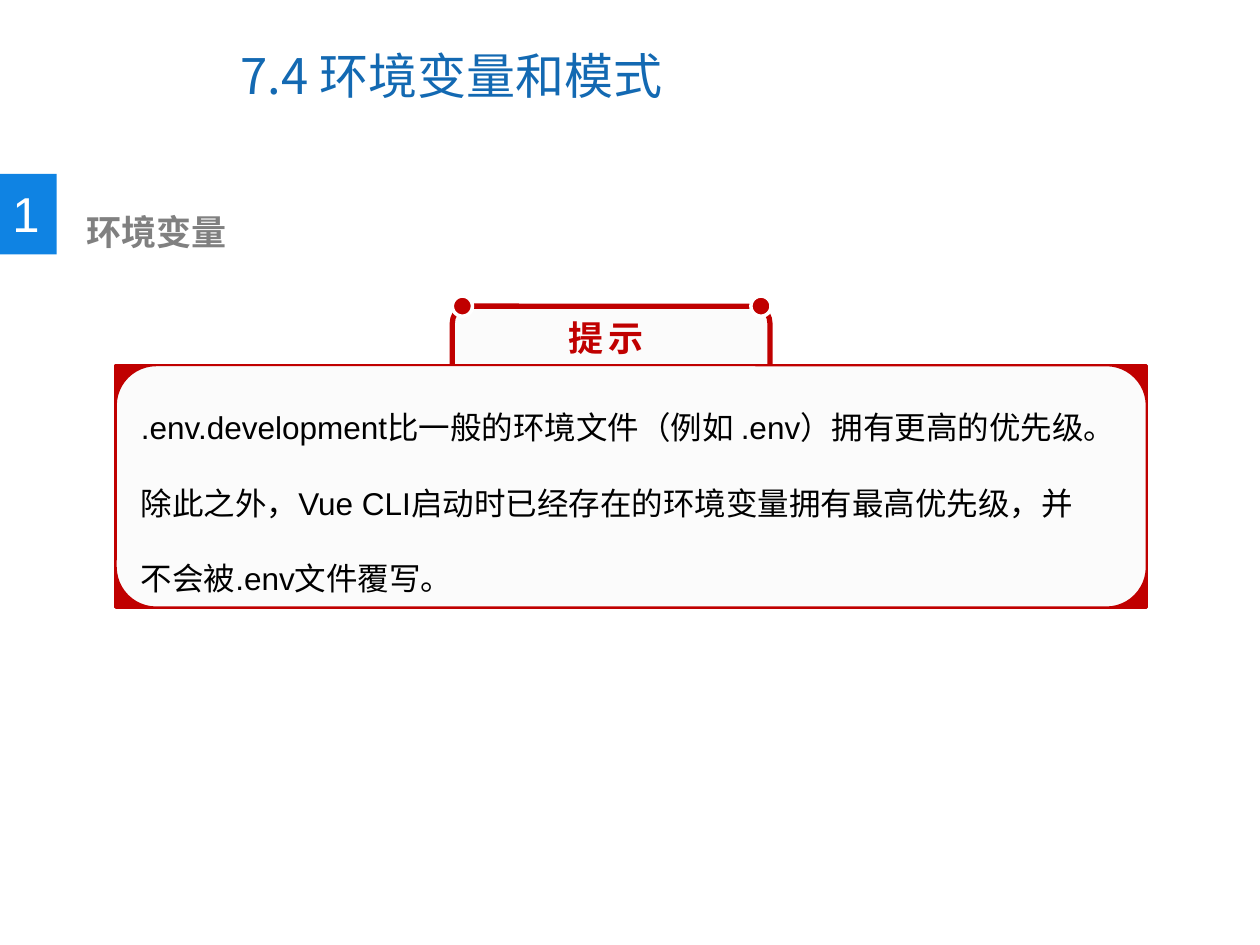
import pptx
import pptx.dml.color
import pptx.enum.shapes
import pptx.enum.text
import pptx.oxml
import pptx.oxml.ns
import pptx.util
from pptx.util import Inches

RGBColor = pptx.dml.color.RGBColor
SHAPE = pptx.enum.shapes.MSO_SHAPE
ANCHOR = pptx.enum.text.MSO_ANCHOR
ALIGN = pptx.enum.text.PP_ALIGN

TITLE_BLUE = RGBColor(0x13, 0x69, 0xB2)
BADGE_BLUE = RGBColor(0x0F, 0x83, 0xE3)
GREY = RGBColor(0x80, 0x80, 0x80)
RED = RGBColor(0xC0, 0x00, 0x00)
PALE = RGBColor(0xFB, 0xFB, 0xFB)
WHITE = RGBColor(0xFF, 0xFF, 0xFF)
BLACK = RGBColor(0x00, 0x00, 0x00)
CJK_FONT = "Noto Sans CJK SC"

deck = pptx.Presentation()
deck.slide_width, deck.slide_height = Inches(10), Inches(7.5)
page = deck.slides.add_slide(deck.slide_layouts[5])


def write(box, text, size, color, font=CJK_FONT, bold=False, anchor=ANCHOR.TOP):
    """Fill a box with one left-aligned run and return that run."""
    frame = box.text_frame
    frame.word_wrap = True
    frame.auto_size = pptx.enum.text.MSO_AUTO_SIZE.NONE
    frame.vertical_anchor = anchor
    para = frame.paragraphs[0]
    para.alignment = ALIGN.LEFT
    span = para.add_run()
    span.text = text
    span.font.name = font
    span.font.size = pptx.util.Pt(size)
    span.font.bold = bold
    span.font.color.rgb = color
    east_asian = pptx.oxml.parse_xml(
        f'<a:ea {pptx.oxml.ns.nsdecls("a")} typeface="{CJK_FONT}"/>')
    span.font._element.find(pptx.oxml.ns.qn("a:latin")).addnext(east_asian)
    return span


def add_panel(kind, left, top, width, height, fill, line=None, weight=0):
    panel = page.shapes.add_shape(
        kind, Inches(left), Inches(top), Inches(width), Inches(height))
    panel.shadow.inherit = False
    panel.fill.solid()
    panel.fill.fore_color.rgb = fill
    if line is None:
        panel.line.fill.background()
    else:
        panel.line.color.rgb = line
        panel.line.width = pptx.util.Pt(weight)


# Title
title = page.shapes.title
title.left, title.top = Inches(1.81), Inches(0.17)
title.width, title.height = Inches(5.16), Inches(0.85)
write(title, "7.4 环境变量和模式", 28, TITLE_BLUE, anchor=ANCHOR.MIDDLE)

# Numbered section heading
add_panel(SHAPE.RECTANGLE, 0, 1.38, 0.45, 0.64, BADGE_BLUE)
number = page.shapes.add_textbox(0, Inches(1.41), Inches(0.42), Inches(0.57))
write(number, "1", 28, WHITE, "Arial")
heading = page.shapes.add_textbox(
    Inches(0.48), Inches(1.62), Inches(5.14), Inches(0.44))
heading.text_frame.margin_left = Inches(0.21)
write(heading, "环境变量", 20, GREY, "Times New Roman", bold=True)

# Tip tab behind the framed panel
add_panel(SHAPE.ROUNDED_RECTANGLE, 3.59, 2.43, 2.52, 0.79, PALE, RED, 3)
for kind, fill, weight in (
    (SHAPE.FLOWCHART_PROCESS, RED, 2),
    (SHAPE.FLOWCHART_ALTERNATE_PROCESS, PALE, 1),
):
    add_panel(kind, 0.92, 2.9, 8.18, 1.92, fill, RED, weight)
for left in (3.59, 5.96):
    add_panel(SHAPE.OVAL, left, 2.35, 0.16, 0.16, RED, WHITE, 2)

tip_label = page.shapes.add_textbox(
    Inches(4.1), Inches(2.46), Inches(1.5), Inches(0.44))
tip_label.text_frame.margin_left = Inches(0.41)
label_span = write(tip_label, "提示", 20, RED, bold=True)
label_span.font._element.set("spc", "300")

tip = page.shapes.add_textbox(
    Inches(1.02), Inches(2.89), Inches(8.04), Inches(1.92))
tip.text_frame.margin_right = Inches(0.36)
write(
    tip,
    ".env.development比一般的环境文件（例如\u00a0.env）拥有更高的优先级。"
    "除此之外，Vue CLI启动时已经存在的环境变量拥有最高优先级，"
    "并不会被.env文件覆写。",
    18, BLACK, "Arial")
tip.text_frame.paragraphs[0].line_spacing = 2.0

deck.save("out.pptx")
